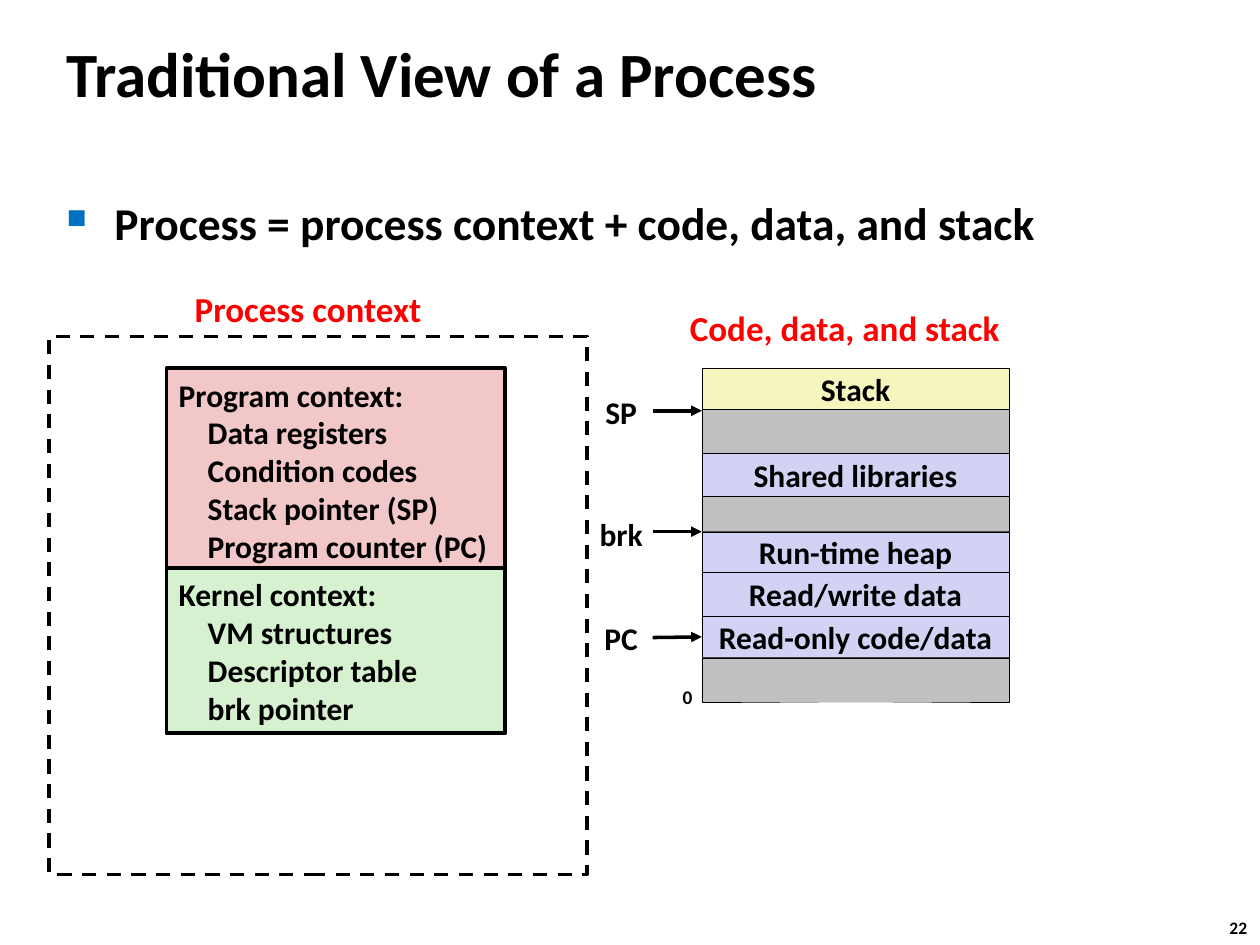
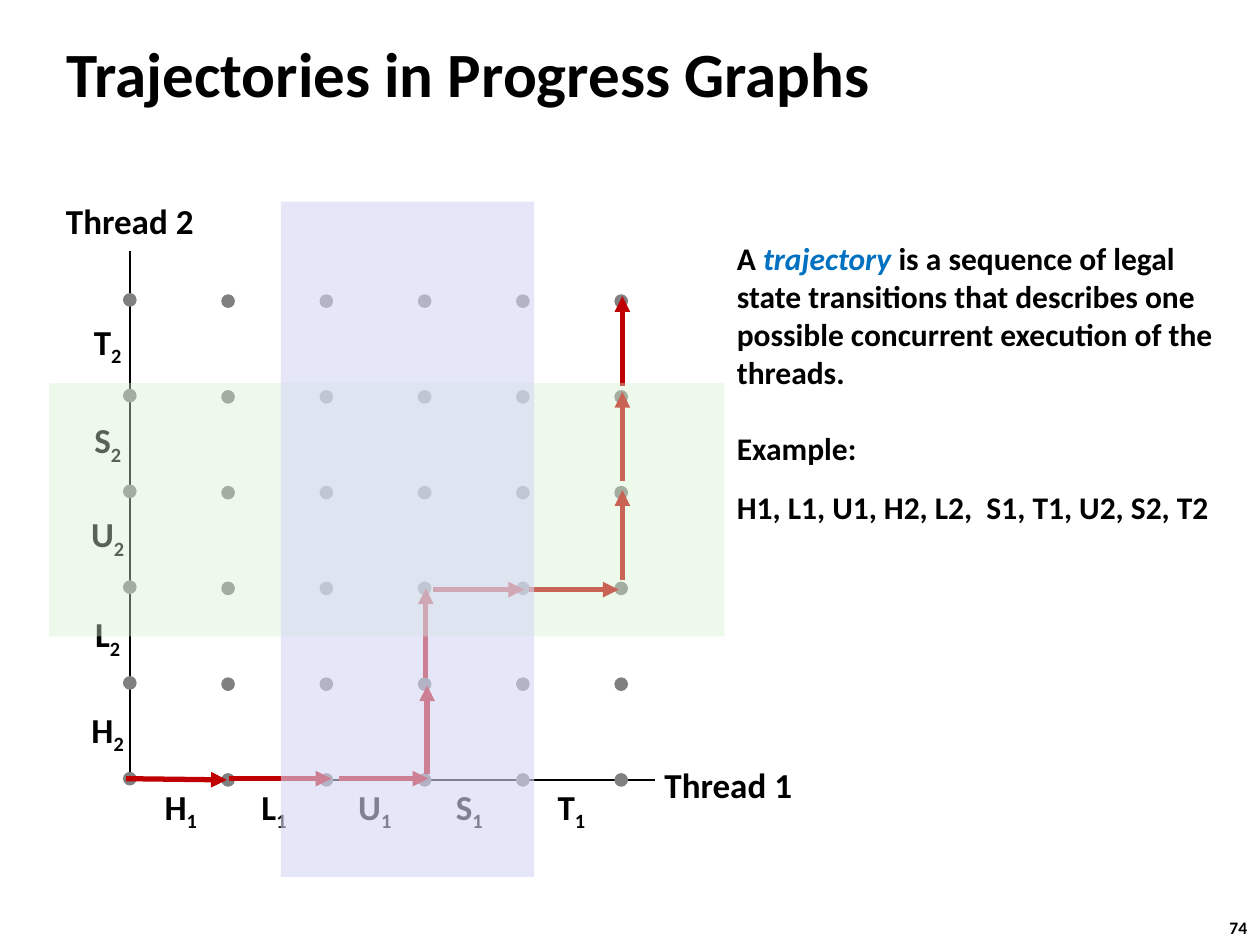
from lxml.etree import SubElement
from pptx import Presentation
from pptx.dml.color import RGBColor
from pptx.enum.dml import MSO_LINE
from pptx.enum.shapes import MSO_CONNECTOR, MSO_SHAPE
from pptx.enum.text import MSO_ANCHOR, PP_ALIGN
from pptx.oxml.ns import qn
from pptx.util import Inches, Pt

BLACK, RED, BLUE, GRAY = "000000", "FF0000", "0070C0", "C0C0C0"
PINK, GREEN, CREAM, LILAC = "F1C7C7", "D5F1CF", "F6F5BD", "D2D2F4"
DOT, PATH, HAZE = "808080", "C00000", "D6D6F5"
LEFT, MID = PP_ALIGN.LEFT, PP_ALIGN.CENTER
TOP, HALF = MSO_ANCHOR.TOP, MSO_ANCHOR.MIDDLE
hue = RGBColor.from_string


def box(page, at, rows=(), size=18, ink=BLACK, align=MID, anchor=HALF,
        wrap=False, kind=None, fill=None, edge=None, weight=2):
    spot = [Inches(n) for n in at]
    if kind is None:
        shape = page.shapes.add_textbox(*spot)
    else:
        shape = page.shapes.add_shape(kind, *spot)
        shape.shadow.inherit = False
        for part, tone in ((shape.fill, fill), (shape.line.fill, edge)):
            if tone:
                part.solid()
                part.fore_color.rgb = hue(tone)
            else:
                part.background()
        if edge:
            shape.line.width = Pt(weight)
    frame = shape.text_frame
    frame.word_wrap, frame.vertical_anchor = wrap, anchor
    look = {"name": "Calibri", "size": Pt(size), "bold": True}
    for i, row in enumerate(rows):
        para = frame.add_paragraph() if i else frame.paragraphs[0]
        para.alignment = align
        for word in row:
            run = para.add_run()
            run.text = word
            run.font.color.rgb = hue(ink)
            for key, value in look.items():
                setattr(run.font, key, value)
    return shape


def link(page, start, end, weight=2, tone=BLACK, head=True):
    line = page.shapes.add_connector(
        MSO_CONNECTOR.STRAIGHT, *[Inches(n) for n in start + end])
    line.line.color.rgb = hue(tone)
    line.line.width = Pt(weight)
    props = line._element.spPr
    if head:
        SubElement(props.find(qn("a:ln")), qn("a:tailEnd"), type="triangle")
    SubElement(props, qn("a:effectLst"))
    return line


RECT, OVAL = MSO_SHAPE.RECTANGLE, MSO_SHAPE.OVAL
deck = Presentation()
deck.slide_width, deck.slide_height = Inches(10), Inches(7.5)
pages = []
for title, number in (("Traditional View of a Process", "22"),
                      ("Trajectories in Progress Graphs", "74")):
    page = deck.slides.add_slide(deck.slide_layouts[6])
    box(page, (9.66, 7.23, 0.37, 0.27), [[number]], 10, align=LEFT, anchor=TOP)
    box(page, (0.43, 0.16, 8.3, 0.83), [[title]], 36, align=LEFT, wrap=True)
    pages.append(page)
view, graph = pages

body = box(view, (0.43, 1.5, 8.64, 5.44), size=26, anchor=TOP, wrap=True,
           align=LEFT, rows=[["Process = process context + code, data, and stack"]])
props = body.text_frame.paragraphs[0]._p.get_or_add_pPr()
props.set("marL", str(Inches(0.38)))
props.set("indent", str(-Inches(0.38)))
SubElement(SubElement(props, qn("a:buClr")), qn("a:srgbClr"), val=BLUE)
SubElement(props, qn("a:buSzPct"), val="60000")
SubElement(props, qn("a:buChar"), char="■")

for at, text in (((5.36, 2.38, 2.69, 0.44), "Code, data, and stack"),
                 ((1.43, 2.23, 2.03, 0.44), "Process context")):
    box(view, at, [[text]], 20, RED)

for top, high, fill, rows in (
        (2.92, 1.62, PINK, ("Program context:", "Data registers", "Condition codes",
                            "Stack pointer (SP)", "Program counter (PC)")),
        (4.51, 1.31, GREEN, ("Kernel context:", "VM structures",
                             "Descriptor table", "brk pointer"))):
    card = box(view, (1.32, top, 2.69, high), [[row] for row in rows],
               align=LEFT, kind=RECT, fill=fill, edge=BLACK)
    for para in card.text_frame.paragraphs[1:]:
        para._p.get_or_add_pPr().set("marL", str(Inches(0.23)))

tops = (2.92, 3.25, 3.6, 3.94, 4.22, 4.54, 4.89, 5.22, 5.57)
parts = (("Stack", CREAM), ("", GRAY), ("Shared libraries", LILAC), ("", GRAY),
         ("Run-time heap", LILAC), ("Read/write data", LILAC),
         ("Read-only code/data", LILAC), ("", GRAY))
cells = [box(view, (5.57, top, 2.44, end - top), [[text]] if text else (),
             kind=RECT, fill=fill, edge=BLACK, weight=0.25)
         for top, end, (text, fill) in zip(tops, tops[1:], parts)]
box(view, (5.32, 5.39, 0.28, 0.29), [["0"]], 11, align=LEFT, anchor=TOP)

for name, top, y in (("SP", 3.07, 3.26), ("brk", 4.04, 4.22), ("PC", 4.86, 5.06)):
    box(view, (4.58, top, 0.7, 0.4), [[name]])
    arrow = link(view, (5.18, y), (5.57, y))
arrow.end_connect(cells[6], 1)

frame = box(view, (0.39, 2.67, 4.27, 4.27), kind=RECT, edge=BLACK)
frame.line.dash_style = MSO_LINE.DASH

note = box(graph, (5.75, 1.84, 4.17, 2.39), align=LEFT, wrap=True, rows=[
    ["A ", "trajectory", " is a sequence of legal state transitions that describes "
     "one possible concurrent execution of the threads."],
    ["Example:"], ["H1, L1, U1, H2, L2,  S1, T1, U2, S2, T2"]])
paras = note.text_frame.paragraphs
term = paras[0].runs[1].font
term.italic, term.color.rgb = True, hue(BLUE)
paras[1].space_before, paras[2].space_before = Pt(22), Pt(12)

for end in ((5.2, 6.19), (1.03, 1.99)):
    link(graph, (1.03, 6.19), end, 1, head=False)

for step, x, y in zip("HLUST", (1.2, 1.94, 2.74, 3.49, 4.3),
                      (5.59, 4.83, 4.04, 3.29, 2.51)):
    for left, top, thread in ((x, 6.2, "1"), (0.62, y, "2")):
        mark = box(graph, (left, top, 0.47, 0.44), [[step, thread]], 20)
        sub = mark.text_frame.paragraphs[0].runs[1]
        sub._r.get_or_add_rPr().set("baseline", "-25000")

for left, top, name in ((5.17, 6.01, "Thread 1"), (0.42, 1.53, "Thread 2")):
    box(graph, (left, top, 1.22, 0.44), [[name]], 20)

for col in range(6):
    base = 6.15 if col else 6.14
    for row in range(6):
        box(graph, (0.99 + 0.78 * col, base - 0.76 * row, 0.08, 0.08),
            kind=OVAL, fill=DOT, edge=DOT)

for start, end in (((1, 6.18), (1.8, 6.19)), ((1.82, 6.18), (2.63, 6.18)),
                   ((2.69, 6.18), (3.4, 6.18)), ((3.39, 6.14), (3.39, 5.44)),
                   ((3.38, 5.38), (3.38, 4.67)), ((3.44, 4.68), (4.16, 4.68)),
                   ((4.2, 4.68), (4.91, 4.68)), ((4.94, 4.6), (4.94, 3.89)),
                   ((4.94, 3.82), (4.94, 3.11)), ((4.94, 3.06), (4.94, 2.35))):
    link(graph, start, end, 3, PATH)

for at, fill, alpha in (((0.39, 3.04, 5.36, 2.01), GREEN, "41000"),
                        ((2.23, 1.6, 2.01, 5.36), HAZE, "60000")):
    band = box(graph, at, kind=RECT, fill=fill)
    tone = band._element.spPr.find(qn("a:solidFill"))[0]
    SubElement(tone, qn("a:alpha"), val=alpha)

deck.save("out.pptx")
